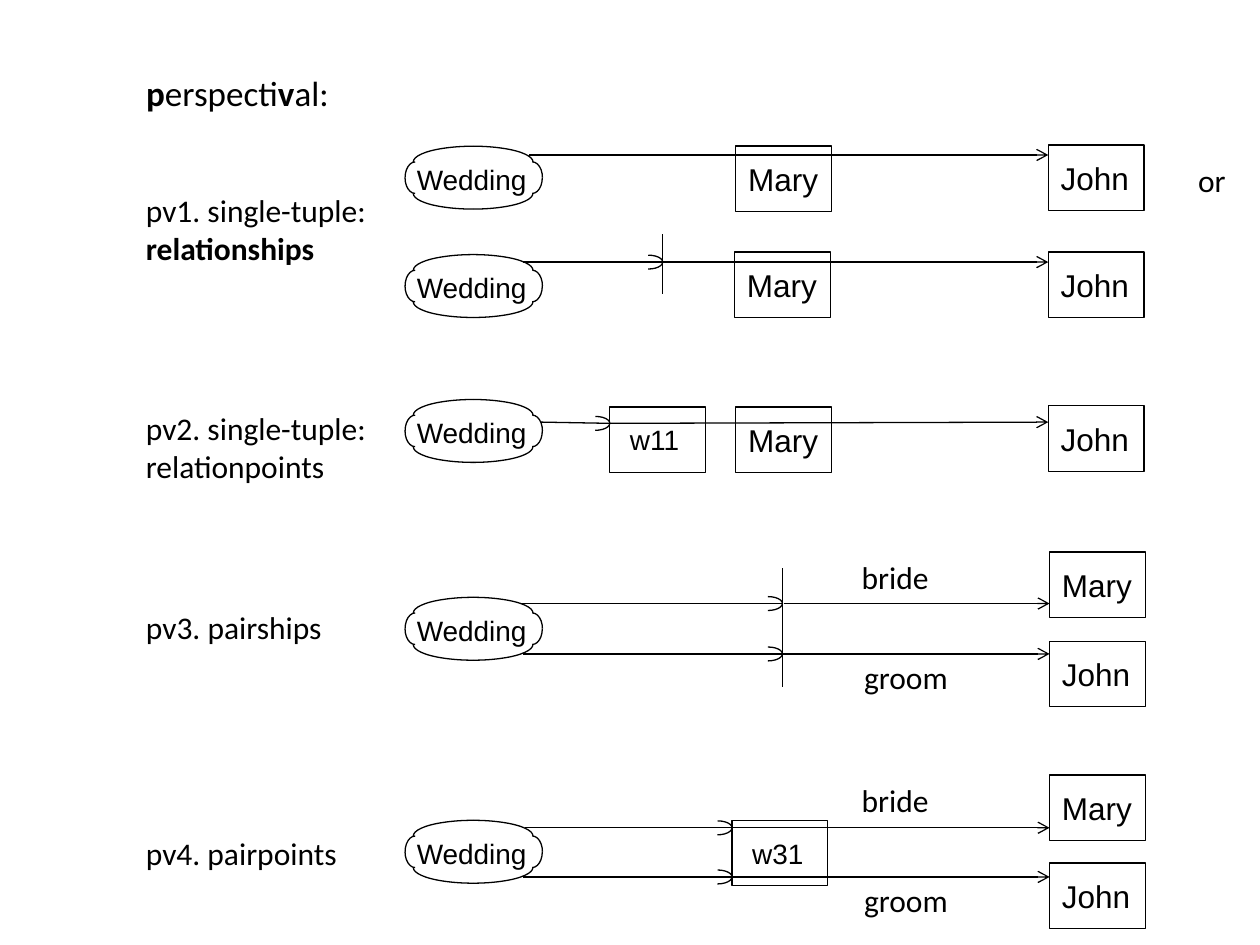
import pptx
import pptx.dml.color
import pptx.enum.shapes
import pptx.enum.text
import pptx.oxml
import pptx.oxml.ns
import pptx.util
from pptx.util import Inches

BLACK = "000000"
LINE_WIDTH = pptx.util.Pt(0.75)
color = pptx.dml.color.RGBColor.from_string
SHAPE = pptx.enum.shapes.MSO_SHAPE
ANCHOR = pptx.enum.text.MSO_ANCHOR


def write(frame, paragraphs, size, font, anchor=ANCHOR.TOP):
    """Fill a text frame; each paragraph is a list of (text, bold) runs."""
    frame.word_wrap = False
    frame.vertical_anchor = anchor
    for index, runs in enumerate(paragraphs):
        paragraph = frame.add_paragraph() if index else frame.paragraphs[0]
        paragraph.alignment = pptx.enum.text.PP_ALIGN.LEFT
        for text, bold in runs:
            run = paragraph.add_run()
            run.text = text
            run.font.size = pptx.util.Pt(size)
            run.font.name = font
            run.font.bold = bold
            run.font.color.rgb = color(BLACK)


def add_outline(shapes, kind, left, top, width, height, rotation=0):
    """Add an unfilled shape with a thin black line."""
    shape = shapes.add_shape(kind, Inches(left), Inches(top), Inches(width), Inches(height))
    shape.shadow.inherit = False
    shape.fill.background()
    shape.line.color.rgb = color(BLACK)
    shape.line.width = LINE_WIDTH
    shape.rotation = rotation
    return shape


presentation = pptx.Presentation()
presentation.slide_width = Inches(10)
presentation.slide_height = Inches(7.5)
slide = presentation.slides.add_slide(presentation.slide_layouts[5])

title = slide.shapes.title
title.left, title.top = Inches(1.06), Inches(0.52)
title.width, title.height = Inches(1.69), Inches(0.44)
write(title.text_frame,
      [[("p", True), ("erspecti", False), ("v", True), ("al:", False)]], 20, "Calibri")

# Row labels and role names: left, top, width, height, paragraphs
labels = [
    (1.06, 1.47, 1.97, 0.71, [[("pv1. single-tuple:", False)], [("relationships", True)]]),
    (1.06, 3.20, 1.97, 0.71, [[("pv2. single-tuple:", False)], [("relationpoints", False)]]),
    (1.06, 4.78, 1.61, 0.4, [[("pv3. pairships", False)]]),
    (1.06, 6.57, 1.73, 0.4, [[("pv4. pairpoints", False)]]),
    (9.41, 1.23, 0.42, 0.4, [[("or", False)]]),
]
for bride_top in (4.38, 6.15):
    labels.append((6.74, bride_top, 0.74, 0.4, [[("bride", False)]]))
    labels.append((6.76, bride_top + 0.79, 0.87, 0.4, [[("groom", False)]]))
for left, top, width, height, paragraphs in labels:
    label = slide.shapes.add_textbox(Inches(left), Inches(top), Inches(width), Inches(height))
    write(label.text_frame, paragraphs, 18, "Calibri")

# Each arc is half of a mirrored pair: shapes, left, top, width, height, rotation
arcs = []
for cloud_top in (1.16, 2.02, 3.17, 4.74, 6.51):
    cloud = slide.shapes.add_group_shape().shapes
    name = cloud.add_textbox(Inches(3.21), Inches(cloud_top + 0.08), Inches(1.08), Inches(0.37))
    write(name.text_frame, [[("Wedding", False)]], 16, "Arial")
    arcs += [
        (cloud, 3.28, cloud_top, 0.95, 0.25, 180),
        (cloud, 3.28, cloud_top + 0.25, 0.95, 0.25, 0),
        (cloud, 4.10, cloud_top + 0.17, 0.25, 0.16, 270),
        (cloud, 3.17, cloud_top + 0.17, 0.25, 0.16, 90),
    ]

hook_tips = [(5.26, 2.08), (4.84, 3.36), (6.21, 4.79), (6.21, 5.19), (5.81, 6.57), (5.81, 6.96)]
for tip_x, tip_y in hook_tips:
    hook = slide.shapes.add_group_shape().shapes
    arcs.append((hook, tip_x - 0.17, tip_y - 0.115, 0.11, 0.23, 270))

for shapes, left, top, width, height, rotation in arcs:
    for mirrored in ("0", "1"):
        arc = add_outline(shapes, SHAPE.ARC, left, top, width, height, rotation)
        transform = arc.element.spPr.get_or_add_xfrm()
        transform.set("flipH", mirrored)
        transform.set("flipV", "1")

boxes = [
    ("Mary", 5.84, 1.16, 18), ("John", 8.32, 1.15, 18),
    ("Mary", 5.83, 2.00, 18), ("John", 8.32, 2.00, 18),
    (" w11", 4.84, 3.23, 16), ("Mary", 5.84, 3.23, 18), ("John", 8.32, 3.22, 18),
    ("Mary", 8.33, 4.38, 18), ("John", 8.33, 5.09, 18),
    (" w31", 5.81, 6.51, 16), ("Mary", 8.33, 6.15, 18), ("John", 8.33, 6.85, 18),
]
for text, left, top, size in boxes:
    box = add_outline(slide.shapes, SHAPE.RECTANGLE, left, top, 0.76, 0.52)
    write(box.text_frame, [[(text, False)]], size, "Arial", ANCHOR.MIDDLE)
    box.text_frame.word_wrap = True

# Start x, start y, end x, end y, arrowhead at the end
lines = [
    (4.20, 1.23, 8.32, 1.23, True),
    (4.15, 2.08, 5.26, 2.08, False), (5.26, 2.08, 8.32, 2.08, True),
    (5.26, 1.86, 5.26, 2.33, False),
    (4.29, 3.35, 4.84, 3.36, False), (4.84, 3.36, 8.32, 3.35, True),
    (6.21, 4.51, 6.21, 5.45, False),
    (4.14, 4.79, 6.21, 4.79, False), (6.22, 4.79, 8.33, 4.79, True),
    (4.15, 5.19, 6.22, 5.19, False), (6.22, 5.19, 8.33, 5.19, True),
    (4.17, 6.57, 5.81, 6.57, False), (5.81, 6.57, 8.33, 6.57, True),
    (4.15, 6.96, 5.81, 6.96, False), (5.81, 6.96, 8.33, 6.96, True),
]
for start_x, start_y, end_x, end_y, has_arrow in lines:
    connector = slide.shapes.add_connector(
        pptx.enum.shapes.MSO_CONNECTOR.STRAIGHT,
        Inches(start_x), Inches(start_y), Inches(end_x), Inches(end_y))
    connector.line.color.rgb = color(BLACK)
    connector.line.width = LINE_WIDTH
    if has_arrow:
        arrowhead = pptx.oxml.parse_xml(
            f'<a:tailEnd {pptx.oxml.ns.nsdecls("a")} type="arrow"/>')
        connector.line._get_or_add_ln().append(arrowhead)
    connector.element.spPr.append(
        pptx.oxml.parse_xml(f'<a:effectLst {pptx.oxml.ns.nsdecls("a")}/>'))

presentation.save("out.pptx")
